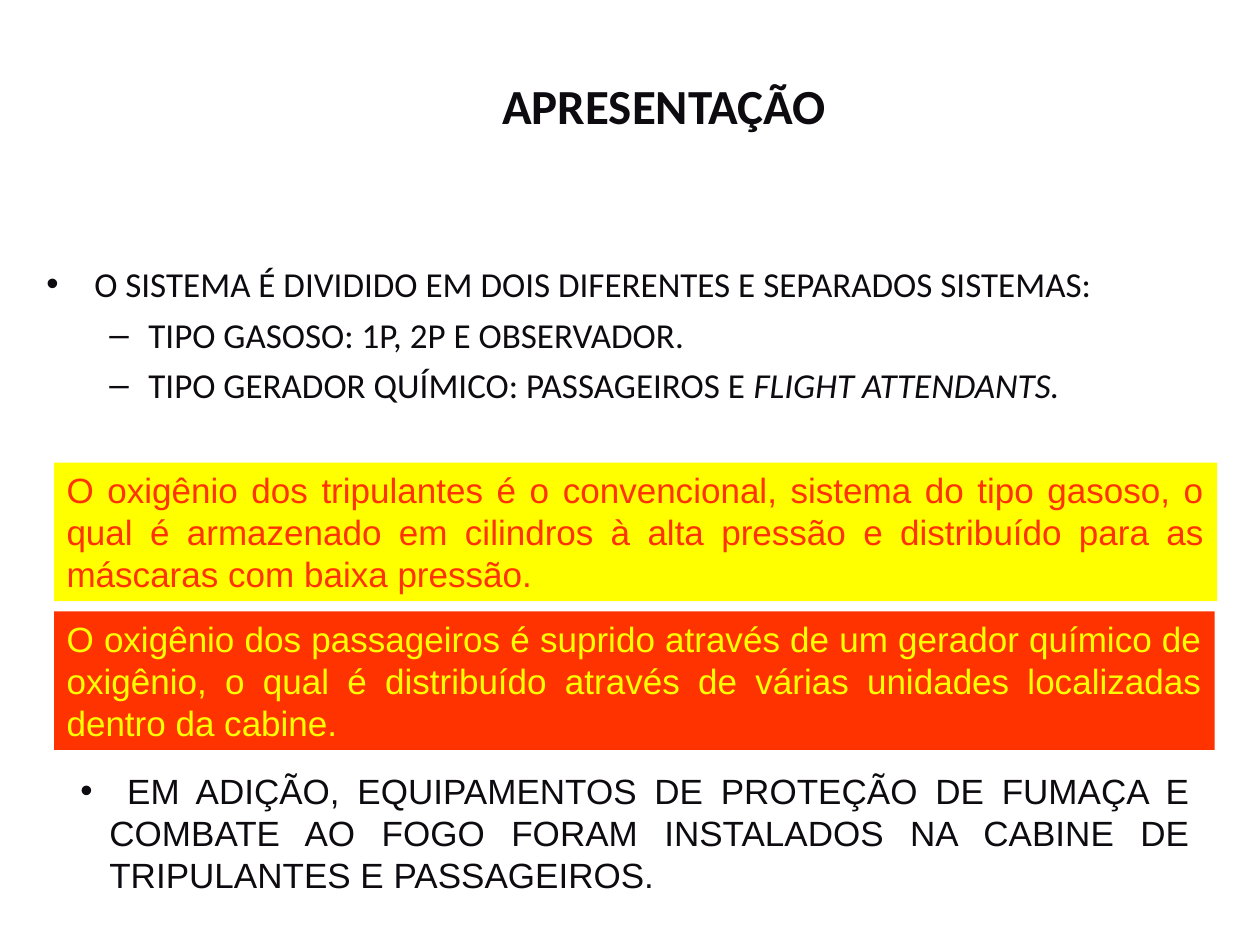
import pptx
import pptx.dml.color
import pptx.enum.shapes
import pptx.enum.text
import pptx.util
from lxml import etree
from pptx.oxml.ns import qn

RGBColor = pptx.dml.color.RGBColor
Inches = pptx.util.Inches
Pt = pptx.util.Pt
PP_ALIGN = pptx.enum.text.PP_ALIGN
MSO_ANCHOR = pptx.enum.text.MSO_ANCHOR

INK = RGBColor(0x0D, 0x0A, 0x10)
YELLOW = RGBColor(0xFF, 0xFF, 0x00)
RED = RGBColor(0xFF, 0x33, 0x00)

FRAME = {
    "word_wrap": True,
    "auto_size": pptx.enum.text.MSO_AUTO_SIZE.NONE,
    "vertical_anchor": MSO_ANCHOR.TOP,
    "margin_left": Inches(0.1),
    "margin_right": Inches(0.1),
    "margin_top": Inches(0.05),
    "margin_bottom": Inches(0.05),
}
HEADING = {"name": "Calibri", "size": Pt(28), "bold": True}
LIST_TEXT = {"name": "Calibri", "size": Pt(20)}
NOTE_TEXT = {"name": "Arial", "size": Pt(20)}

SYSTEMS = [
    (0, [("O SISTEMA É DIVIDIDO EM DOIS DIFERENTES E SEPARADOS SISTEMAS:", False)]),
    (1, [("TIPO GASOSO: 1P, 2P E OBSERVADOR.", False)]),
    (1, [("TIPO GERADOR QUÍMICO: PASSAGEIROS E ", False),
         ("FLIGHT ATTENDANTS.", True)]),
]
# Bullet character, left margin and hanging indent of each level
LEVELS = [("•", 0.38, 0.38), ("–", 0.81, 0.31)]

CREW = ("O oxigênio dos tripulantes é o convencional, sistema do tipo gasoso, "
        "o qual é armazenado em cilindros à alta pressão e distribuído para as "
        "máscaras com baixa pressão.")
PASSENGERS = ("O oxigênio dos passageiros é suprido através de um gerador químico "
              "de oxigênio, o qual é distribuído através de várias unidades "
              "localizadas dentro da cabine.")
PROTECTION = (" EM ADIÇÃO, EQUIPAMENTOS DE PROTEÇÃO DE FUMAÇA E COMBATE AO FOGO "
              "FORAM INSTALADOS NA CABINE DE TRIPULANTES E PASSAGEIROS.")


def apply(target, values):
    for attribute, value in values.items():
        setattr(target, attribute, value)


def set_text(paragraph, runs, text_format, color, align=PP_ALIGN.JUSTIFY):
    """Fill a paragraph with (text, italic) runs in one format."""
    paragraph.alignment = align
    for text, italic in runs:
        run = paragraph.add_run()
        run.text = text
        apply(run.font, text_format)
        run.font.color.rgb = color
        if italic:
            run.font.italic = True


def add_bullet(paragraph, character, margin, hanging):
    properties = paragraph._p.get_or_add_pPr()
    properties.set("marL", str(Inches(margin)))
    properties.set("indent", str(-Inches(hanging)))
    bullet_color = etree.SubElement(properties, qn("a:buClr"))
    etree.SubElement(bullet_color, qn("a:srgbClr")).set("val", str(INK))
    etree.SubElement(properties, qn("a:buFont")).set("typeface", "Arial")
    etree.SubElement(properties, qn("a:buChar")).set("char", character)


def place_title(slide, box):
    title = slide.shapes.title
    apply(title, dict(zip(("left", "top", "width", "height"), box)))
    apply(title.text_frame, FRAME)
    set_text(title.text_frame.paragraphs[0], [("APRESENTAÇÃO", False)],
             HEADING, INK, PP_ALIGN.CENTER)


def add_systems_list(slide, box):
    frame = slide.shapes.add_textbox(*box).text_frame
    apply(frame, FRAME)
    for index, (level, runs) in enumerate(SYSTEMS):
        paragraph = frame.add_paragraph() if index else frame.paragraphs[0]
        paragraph.level = level
        add_bullet(paragraph, *LEVELS[level])
        if index:
            paragraph.space_before = Pt(5)
        set_text(paragraph, runs, LIST_TEXT, INK)


def add_panel(slide, box, text, fill, color):
    panel = slide.shapes.add_shape(pptx.enum.shapes.MSO_SHAPE.RECTANGLE, *box)
    panel.shadow.inherit = False
    panel.fill.solid()
    panel.fill.fore_color.rgb = fill
    panel.line.fill.background()
    apply(panel.text_frame, FRAME)
    set_text(panel.text_frame.paragraphs[0], [(text, False)], NOTE_TEXT, color)


def add_protection_note(slide, box):
    frame = slide.shapes.add_textbox(*box).text_frame
    apply(frame, FRAME)
    add_bullet(frame.paragraphs[0], "•", 0.23, 0.23)
    set_text(frame.paragraphs[0], [(PROTECTION, False)], NOTE_TEXT, INK)


def main():
    deck = pptx.Presentation()
    deck.slide_width, deck.slide_height = Inches(10), Inches(7.5)
    slide = deck.slides.add_slide(deck.slide_layouts[5])

    def area(left, top, width, height):
        """Turn percentages of the slide's size into a box."""
        return (int(deck.slide_width * left / 100),
                int(deck.slide_height * top / 100),
                int(deck.slide_width * width / 100),
                int(deck.slide_height * height / 100))

    place_title(slide, area(10.2, 7.33, 85, 12.27))
    add_systems_list(slide, area(2.7, 27.1, 95.3, 29.2))
    add_panel(slide, area(4.3, 48.95, 92.3, 14.67), CREW, YELLOW, RED)
    add_panel(slide, area(4.3, 64.7, 92.1, 14.67), PASSENGERS, RED, YELLOW)
    add_protection_note(slide, area(5.4, 80.8, 90, 14.67))
    deck.save("out.pptx")


if __name__ == "__main__":
    main()
